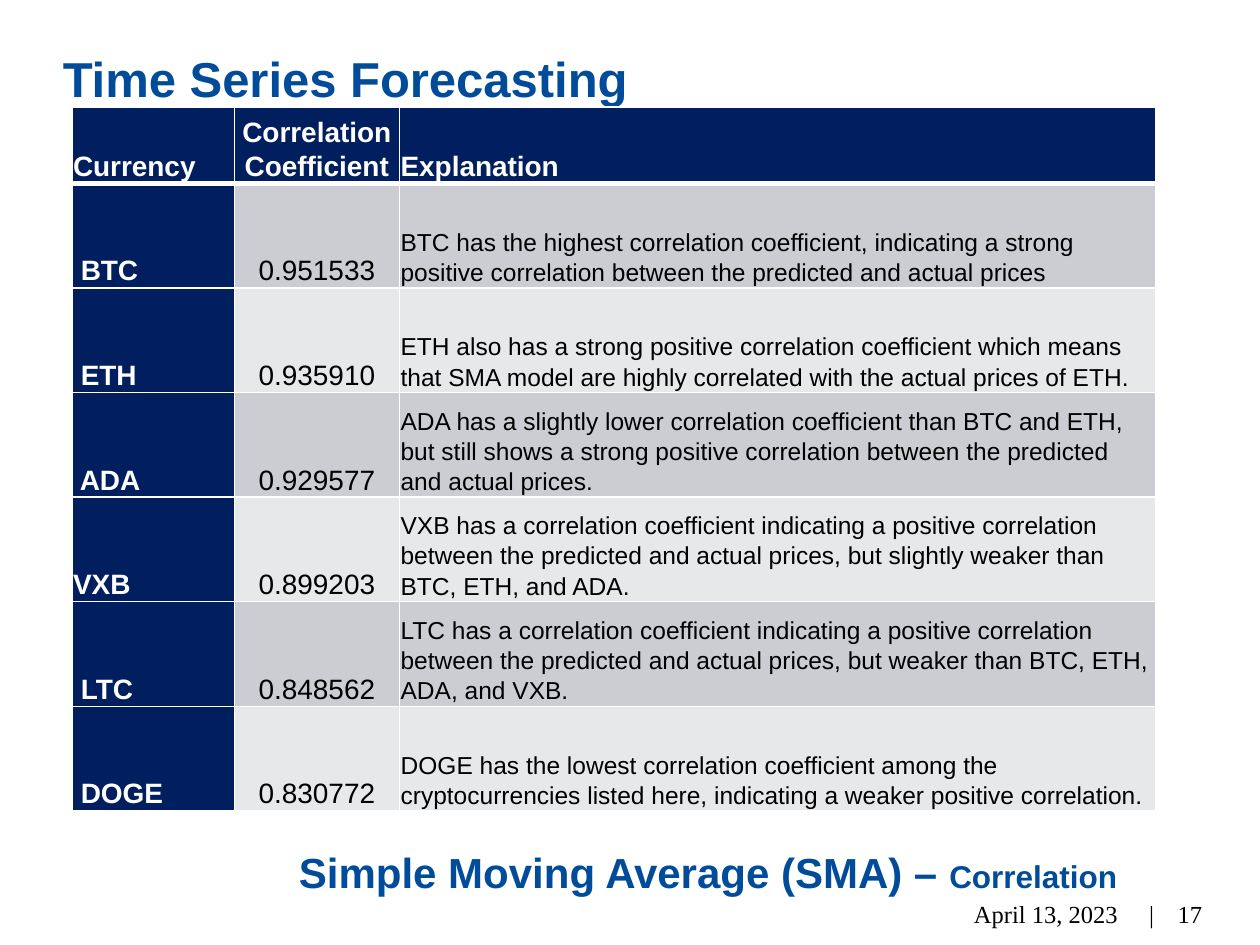
"""Build the slide on correlation results of the simple moving average."""
from lxml import etree
from pptx import Presentation
from pptx.dml.color import RGBColor
from pptx.enum import text as t
from pptx.oxml import ns
from pptx.util import Inches, Pt

BLUE = RGBColor(0x00, 0x4C, 0x9B)
NAVY = RGBColor(0x01, 0x1E, 0x5E)
WHITE = RGBColor(0xFF, 0xFF, 0xFF)
BLACK = RGBColor(0, 0, 0)
BANDS = (RGBColor(0xCC, 0xCD, 0xD2), RGBColor(0xE7, 0xE8, 0xEA))
LEFT, CENTER, RIGHT = t.PP_ALIGN.LEFT, t.PP_ALIGN.CENTER, t.PP_ALIGN.RIGHT

COLUMN_WIDTHS = (1.29, 1.31, 6)
HEADER_HEIGHT, ROW_HEIGHT = 0.55, 0.83
ROWS = (
    ("Currency", "Correlation Coefficient", "Explanation"),
    (" BTC", "0.951533",
     "BTC has the highest correlation coefficient, indicating a strong "
     "positive correlation between the predicted and actual prices"),
    (" ETH", "0.935910",
     "ETH also has a strong positive correlation coefficient which means "
     "that SMA model are highly correlated with the actual prices of ETH."),
    (" ADA", "0.929577",
     "ADA has a slightly lower correlation coefficient than BTC and ETH, "
     "but still shows a strong positive correlation between the predicted "
     "and actual prices."),
    ("VXB", "0.899203",
     "VXB has a correlation coefficient indicating a positive correlation "
     "between the predicted and actual prices, but slightly weaker than "
     "BTC, ETH, and ADA."),
    (" LTC", "0.848562",
     "LTC has a correlation coefficient indicating a positive correlation "
     "between the predicted and actual prices, but weaker than BTC, ETH, "
     "ADA, and VXB."),
    (" DOGE", "0.830772",
     "DOGE has the lowest correlation coefficient among the "
     "cryptocurrencies listed here, indicating a weaker positive correlation."),
)


def style(font, name, size, color, bold=False):
    """Set the look of a font."""
    font.name, font.size, font.bold = name, Pt(size), bold
    font.color.rgb = color


def add_box(page, left, top, width, height):
    """Add an empty wrapping text box."""
    box = page.shapes.add_textbox(
        Inches(left), Inches(top), Inches(width), Inches(height))
    box.text_frame.word_wrap = True
    return box


def add_heading(page, left, top, spans, align):
    """Add a bold blue heading made of (wording, size) spans."""
    box = add_box(page, left, top, 9.24, 0.53)
    para = box.text_frame.paragraphs[0]
    para.alignment, para.line_spacing = align, Pt(26.6)
    for wording, size in spans:
        span = para.add_run()
        span.text = wording
        style(span.font, "Arial", size, BLUE, True)


def add_footer(page, left, width, wording, align):
    """Add a footer text and return its box."""
    box = add_box(page, left, 7.05, width, 0.4)
    box.text_frame.vertical_anchor = t.MSO_ANCHOR.MIDDLE
    para = box.text_frame.paragraphs[0]
    para.text, para.alignment = wording, align
    style(para.runs[0].font, "Times New Roman", 14, BLACK)
    for span in para.runs[1:]:
        style(span.font, "Times New Roman", 14, BLACK)
    return box


def add_date(page):
    """Add the date, with its bar placed by a tab stop."""
    frame = add_footer(page, 6.99, 2.27, "April 13, 2023\t|", LEFT).text_frame
    frame.margin_left, frame.margin_right = Inches(0.74), 0
    properties = frame.paragraphs[0]._p.get_or_add_pPr()
    stops = etree.SubElement(properties, ns.qn("a:tabLst"))
    etree.SubElement(stops, ns.qn("a:tab"), pos=str(Inches(1.39)), algn="l")


def set_borders(cell, bottom):
    """Draw white cell borders, the lower one with its own width."""
    properties = cell._tc.get_or_add_tcPr()
    sides = (("a:lnL", 1), ("a:lnR", 1), ("a:lnT", 1), ("a:lnB", bottom))
    for index, (side, width) in enumerate(sides):
        line = etree.Element(ns.qn(side), w=str(Pt(width)))
        fill = etree.SubElement(line, ns.qn("a:solidFill"))
        etree.SubElement(fill, ns.qn("a:srgbClr"), val=str(WHITE))
        properties.insert(index, line)


def fill_cell(cell, wording, row, column):
    """Write and format one table cell by its place in the grid."""
    heading = row == 0 or column == 0
    cell.fill.solid()
    cell.fill.fore_color.rgb = NAVY if heading else BANDS[(row - 1) % 2]
    cell.vertical_anchor = t.MSO_ANCHOR.BOTTOM
    cell.margin_left = cell.margin_right = Inches(0.01)
    cell.margin_top = cell.margin_bottom = Inches(0.01)
    para = cell.text_frame.paragraphs[0]
    para.text = wording
    para.alignment = CENTER if column == 1 else LEFT
    para.line_spacing, para.space_after = 1.1, Pt(6)
    size = 14 if column == 2 and not heading else 16
    style(para.runs[0].font, "Arial", size, WHITE if heading else BLACK, heading)
    set_borders(cell, 3 if row == 0 else 1)


def add_correlation_table(page):
    """Add the table of correlation coefficients."""
    height = HEADER_HEIGHT + ROW_HEIGHT * (len(ROWS) - 1)
    table = page.shapes.add_table(
        len(ROWS), len(COLUMN_WIDTHS), Inches(0.57), Inches(0.85),
        Inches(sum(COLUMN_WIDTHS)), Inches(height)).table
    for column, width in zip(table.columns, COLUMN_WIDTHS):
        column.width = Inches(width)
    for row, wordings in enumerate(ROWS):
        table.rows[row].height = Inches(ROW_HEIGHT if row else HEADER_HEIGHT)
        for column, wording in enumerate(wordings):
            fill_cell(table.cell(row, column), wording, row, column)


def main():
    """Build and save the deck."""
    deck = Presentation()
    deck.slide_width, deck.slide_height = Inches(10), Inches(7.5)
    page = deck.slides.add_slide(deck.slide_layouts[6])
    add_heading(page, 0.4, 0.43, [("Time Series Forecasting", 28)], LEFT)
    add_date(page)
    add_footer(page, 8.9, 0.74, "17", RIGHT)
    add_heading(page, 1, 6.7, [("Simple Moving Average (SMA) – ", 24),
                               ("Correlation", 18)], CENTER)
    add_correlation_table(page)
    deck.save("out.pptx")


if __name__ == "__main__":
    main()
